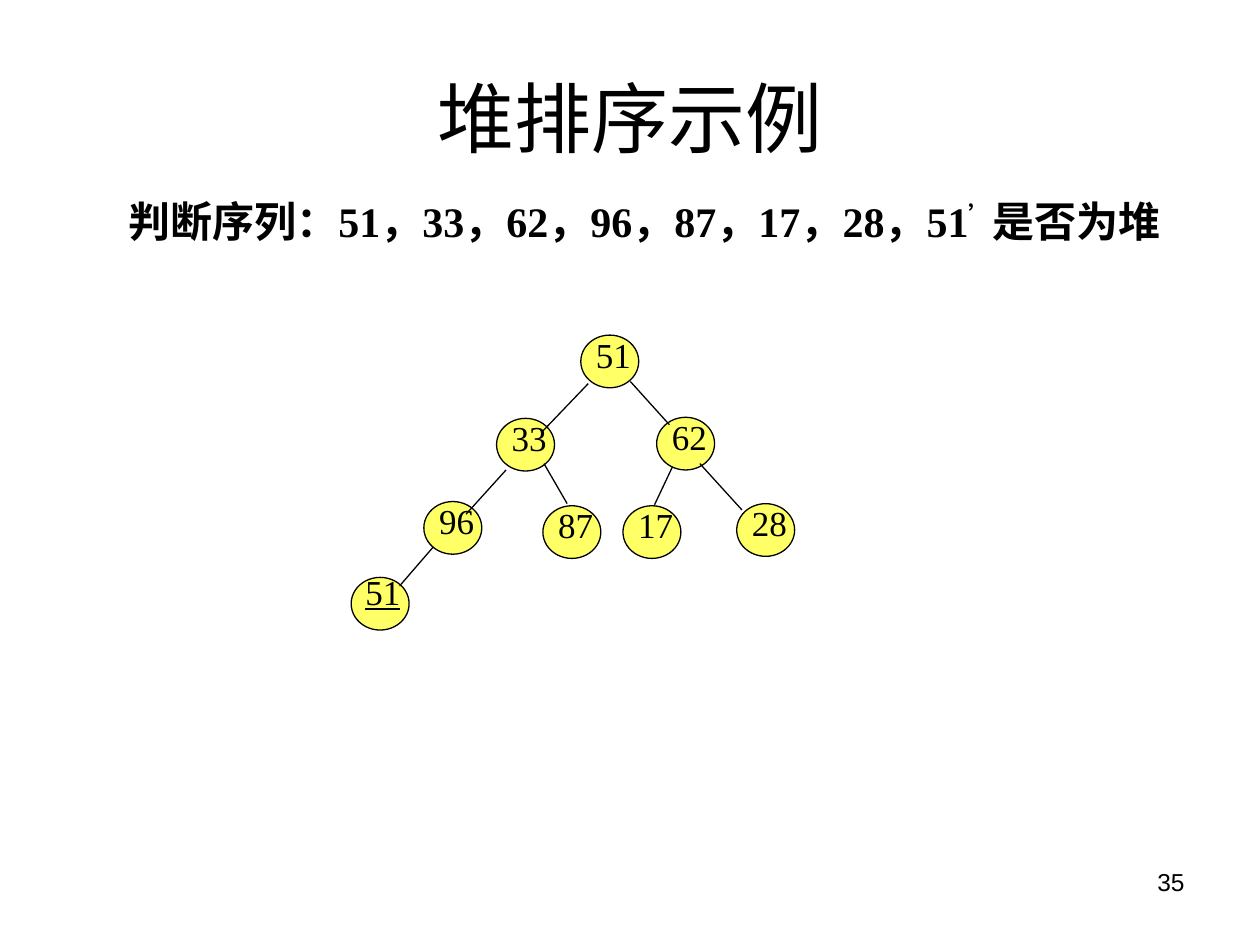
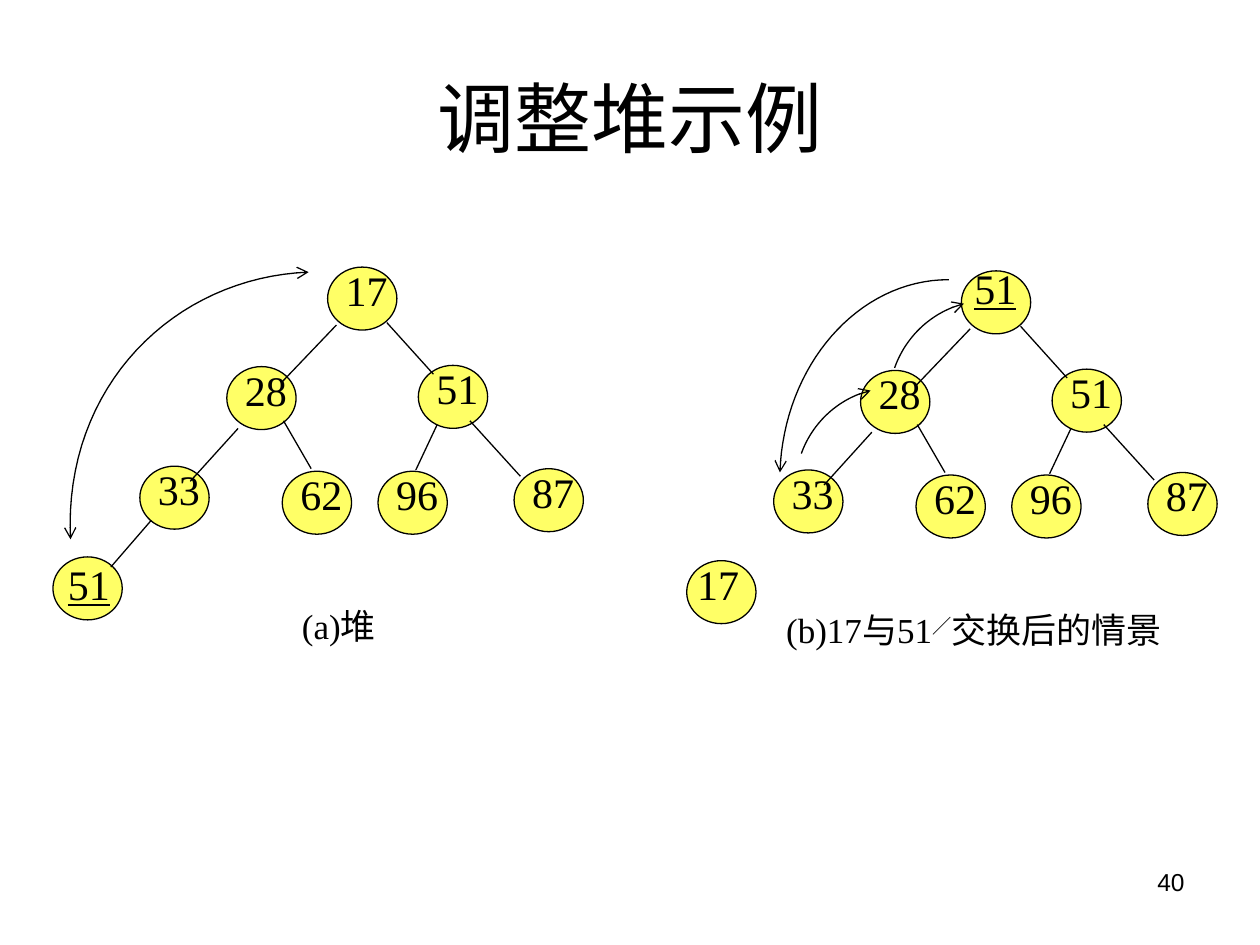
"""Build two slides that explain heap sort with binary trees."""
from dataclasses import dataclass, field
from typing import NamedTuple

from lxml import etree
from pptx import Presentation
from pptx.dml.color import RGBColor
from pptx.enum.shapes import MSO_CONNECTOR, MSO_SHAPE
from pptx.enum.text import MSO_ANCHOR, PP_ALIGN
from pptx.oxml.ns import qn
from pptx.util import Inches, Pt

ELLIPSE = MSO_SHAPE.OVAL
STRAIGHT = MSO_CONNECTOR.STRAIGHT
LEFT, CENTER, RIGHT = PP_ALIGN.LEFT, PP_ALIGN.CENTER, PP_ALIGN.RIGHT
TOP, MIDDLE = MSO_ANCHOR.TOP, MSO_ANCHOR.MIDDLE

COLORS = {"ink": "000000", "node": "FFFF66"}
SERIF, SANS = "Times New Roman", "Arial"
CHINESE, TITLE_FONT = "Noto Sans CJK SC", "Noto Sans CJK JP"
TITLE_ONLY = 5
LINE_WIDTH = 0.75
CURVE_STEPS = 32


class Point(NamedTuple):
    """A place, or an offset, in inches."""
    x: float
    y: float


class Box(NamedTuple):
    """Left, top, width and height in inches."""
    left: float
    top: float
    width: float
    height: float

    def lengths(self) -> list:
        """Return the four measures as slide lengths."""
        return [Inches(value) for value in self]


class Run(NamedTuple):
    """A stretch of text in one font."""
    text: str
    font: str = SERIF
    raised: bool = False
    size: float | None = None


@dataclass
class TextStyle:
    """Formatting shared by a whole paragraph."""
    size: float
    align: int = CENTER
    bold: bool = False
    underline: bool = False
    font: str = SERIF


@dataclass
class Tree:
    """A heap in level order, placed by the corner of its root."""
    root: Point
    values: list[str]
    underlined: int
    scale: float = 1.0
    size: float = 24
    linked: int = 7
    label_boxes: dict[int, Box] = field(default_factory=dict)


class Arc(NamedTuple):
    """A cubic curve with optional arrowheads."""
    start: Point
    first_control: Point
    second_control: Point
    end: Point
    head: bool = False
    tail: bool = False


TITLE_BOX = Box(0.5, 0.3, 9, 1.25)
NUMBER_BOX = Box(7.17, 6.83, 2.33, 0.52)
NODE_WIDTH, NODE_HEIGHT = 0.55, 0.5
LABEL_BOX = Box(0.08, -0.02, 0.46, 0.59)
NODES = [
    Point(0, 0), Point(-0.8, 0.79), Point(0.72, 0.78), Point(-1.49, 1.58),
    Point(-0.36, 1.62), Point(0.4, 1.62), Point(1.48, 1.6), Point(-2.18, 2.3),
]
EDGES = [
    (Point(0.07, 0.46), Point(-0.36, 0.91)),
    (Point(0.47, 0.44), Point(0.84, 0.85)),
    (Point(-0.71, 1.28), Point(-1.09, 1.7)),
    (Point(-0.35, 1.22), Point(-0.13, 1.6)),
    (Point(0.87, 1.25), Point(0.7, 1.61)),
    (Point(1.13, 1.22), Point(1.53, 1.66)),
    (Point(-1.4, 2.01), Point(-1.72, 2.38)),
]


def color(name: str) -> RGBColor:
    """Look up a palette colour."""
    return RGBColor.from_string(COLORS[name])


def write(text_frame, runs: list[Run], style: TextStyle) -> None:
    """Write one paragraph of runs into a text frame."""
    text_frame.word_wrap = True
    paragraph = text_frame.paragraphs[0]
    paragraph.alignment = style.align
    font = paragraph.font
    font.name, font.size = style.font, Pt(style.size)
    font.bold, font.underline = style.bold, style.underline
    font.color.rgb = color("ink")
    for part in runs:
        run = paragraph.add_run()
        run.text = part.text
        properties = run._r.get_or_add_rPr()
        if part.size:
            run.font.size = Pt(part.size)
        if part.raised:
            properties.set("baseline", "30000")
        if part.font != SERIF:
            run.font.name = part.font
            etree.SubElement(properties, qn("a:ea"), typeface=part.font)


def add_text(shapes, box: Box, runs: list[Run], style: TextStyle):
    """Add a text box and return its text frame."""
    text_frame = shapes.add_textbox(*box.lengths()).text_frame
    text_frame.vertical_anchor = TOP
    write(text_frame, runs, style)
    return text_frame


def set_line(line) -> None:
    """Give an outline the thin ink stroke."""
    line.color.rgb = color("ink")
    line.width = Pt(LINE_WIDTH)


def add_node(shapes, box: Box) -> None:
    """Add a yellow tree node."""
    node = shapes.add_shape(ELLIPSE, *box.lengths())
    node.shadow.inherit = False
    node.fill.solid()
    node.fill.fore_color.rgb = color("node")
    set_line(node.line)


def add_edge(shapes, start: Point, end: Point) -> None:
    """Add a straight link between two nodes."""
    ends = [Inches(value) for value in (*start, *end)]
    edge = shapes.add_connector(STRAIGHT, *ends)
    set_line(edge.line)
    etree.SubElement(edge._element.spPr, qn("a:effectLst"))


def add_tree(slide, tree: Tree) -> None:
    """Draw nodes, labels and links as one group."""
    shapes = slide.shapes.add_group_shape().shapes
    scale = tree.scale

    def place(offset: Point) -> Point:
        return Point(tree.root.x + scale * offset.x, tree.root.y + scale * offset.y)

    for node in NODES:
        add_node(shapes, Box(*place(node), scale * NODE_WIDTH, scale * NODE_HEIGHT))
    for index, (node, value) in enumerate(zip(NODES, tree.values)):
        label = tree.label_boxes.get(index, LABEL_BOX)
        corner = place(Point(node.x + label.left, node.y + label.top))
        box = Box(*corner, scale * label.width, scale * label.height)
        style = TextStyle(tree.size, underline=index == tree.underlined)
        text_frame = add_text(shapes, box, [Run(value)], style)
        text_frame.margin_left = text_frame.margin_right = text_frame.margin_top = 0
        text_frame.margin_bottom = Inches(0.04)
    for start, end in EDGES[:tree.linked]:
        add_edge(shapes, place(start), place(end))


def add_arc(slide, arc: Arc) -> None:
    """Draw a curved arrow through evenly spaced curve points."""
    controls = arc[:4]
    points = []
    for step in range(CURVE_STEPS + 1):
        t = step / CURVE_STEPS
        weights = ((1 - t) ** 3, 3 * t * (1 - t) ** 2, 3 * t ** 2 * (1 - t), t ** 3)
        points.append(tuple(
            Inches(sum(weight * point[axis] for weight, point in zip(weights, controls)))
            for axis in range(2)
        ))
    builder = slide.shapes.build_freeform(*points[0])
    builder.add_line_segments(points[1:], close=False)
    curve = builder.convert_to_shape()
    curve.shadow.inherit = False
    curve.fill.background()
    set_line(curve.line)
    outline = curve._element.spPr.find(qn("a:ln"))
    for tag, shown in (("a:headEnd", arc.head), ("a:tailEnd", arc.tail)):
        if shown:
            etree.SubElement(outline, qn(tag), type="arrow")


def add_slide(presentation, title: str, number: int):
    """Add a slide with its title and page number."""
    slide = presentation.slides.add_slide(presentation.slide_layouts[TITLE_ONLY])
    heading = slide.shapes.title
    heading.left, heading.top, heading.width, heading.height = TITLE_BOX.lengths()
    heading.text_frame.vertical_anchor = MIDDLE
    write(heading.text_frame, [Run(title, TITLE_FONT)], TextStyle(44, font=TITLE_FONT))
    add_text(slide.shapes, NUMBER_BOX, [Run(str(number), SANS)],
             TextStyle(14, RIGHT, font=SANS))
    return slide


def build_check_slide(presentation) -> None:
    """Ask whether a sequence is a heap."""
    slide = add_slide(presentation, "堆排序示例", 35)
    values = ["51", "33", "62", "96", "87", "17", "28", "51"]
    runs = [Run("判断序列：", CHINESE)]
    for value in values[:-1]:
        runs += [Run(value), Run("，", CHINESE)]
    runs += [Run(values[-1]), Run("’", CHINESE, raised=True), Run("是否为堆", CHINESE)]
    add_text(slide.shapes, Box(0.92, 1.5, 8.58, 0.5), runs,
             TextStyle(24, LEFT, bold=True))
    add_tree(slide, Tree(Point(4.61, 2.66), values, underlined=7, scale=0.836, size=20,
                         label_boxes={7: Box(0.02, -0.07, 0.56, 0.63)}))


def build_adjust_slide(presentation) -> None:
    """Show a heap before and after its root is swapped."""
    slide = add_slide(presentation, "调整堆示例", 40)
    middle = ["28", "51", "33", "62", "96", "87"]
    add_tree(slide, Tree(Point(2.6, 2.12), ["17", *middle, "51"], underlined=7,
                         label_boxes={7: Box(0.02, 0.01, 0.53, 0.87)}))
    add_tree(slide, Tree(Point(7.63, 2.15), ["51", *middle, "17"], underlined=0, linked=6,
                         label_boxes={0: Box(0.07, -0.07, 0.4, 0.64),
                                      7: Box(0.02, -0.02, 0.46, 0.58)}))
    captions = [
        (Point(0.88, 4.75), [Run("(a)"), Run("堆", SANS)]),
        (Point(5.92, 4.78), [Run("(b)17"), Run("与", SANS), Run("51"),
                             Run("／", SANS, raised=True, size=19),
                             Run("交换后的情景", SANS)]),
    ]
    for corner, runs in captions:
        add_text(slide.shapes, Box(*corner, 3.62, 1.39), runs, TextStyle(20))
    arcs = [
        Arc(Point(2.45, 2.16), Point(1.39, 2.2), Point(0.5, 3.06), Point(0.56, 4.28),
            head=True, tail=True),
        Arc(Point(7.53, 2.22), Point(6.81, 2.22), Point(6.22, 2.9), Point(6.19, 3.75),
            tail=True),
        Arc(Point(6.91, 3.1), Point(6.66, 3.16), Point(6.45, 3.35), Point(6.36, 3.6),
            head=True),
        Arc(Point(7.65, 2.41), Point(7.39, 2.48), Point(7.19, 2.67), Point(7.1, 2.92),
            head=True),
    ]
    for arc in arcs:
        add_arc(slide, arc)


def main() -> None:
    """Build and save the presentation."""
    presentation = Presentation()
    presentation.slide_width, presentation.slide_height = Inches(10), Inches(7.5)
    build_check_slide(presentation)
    build_adjust_slide(presentation)
    presentation.save("out.pptx")


main()
